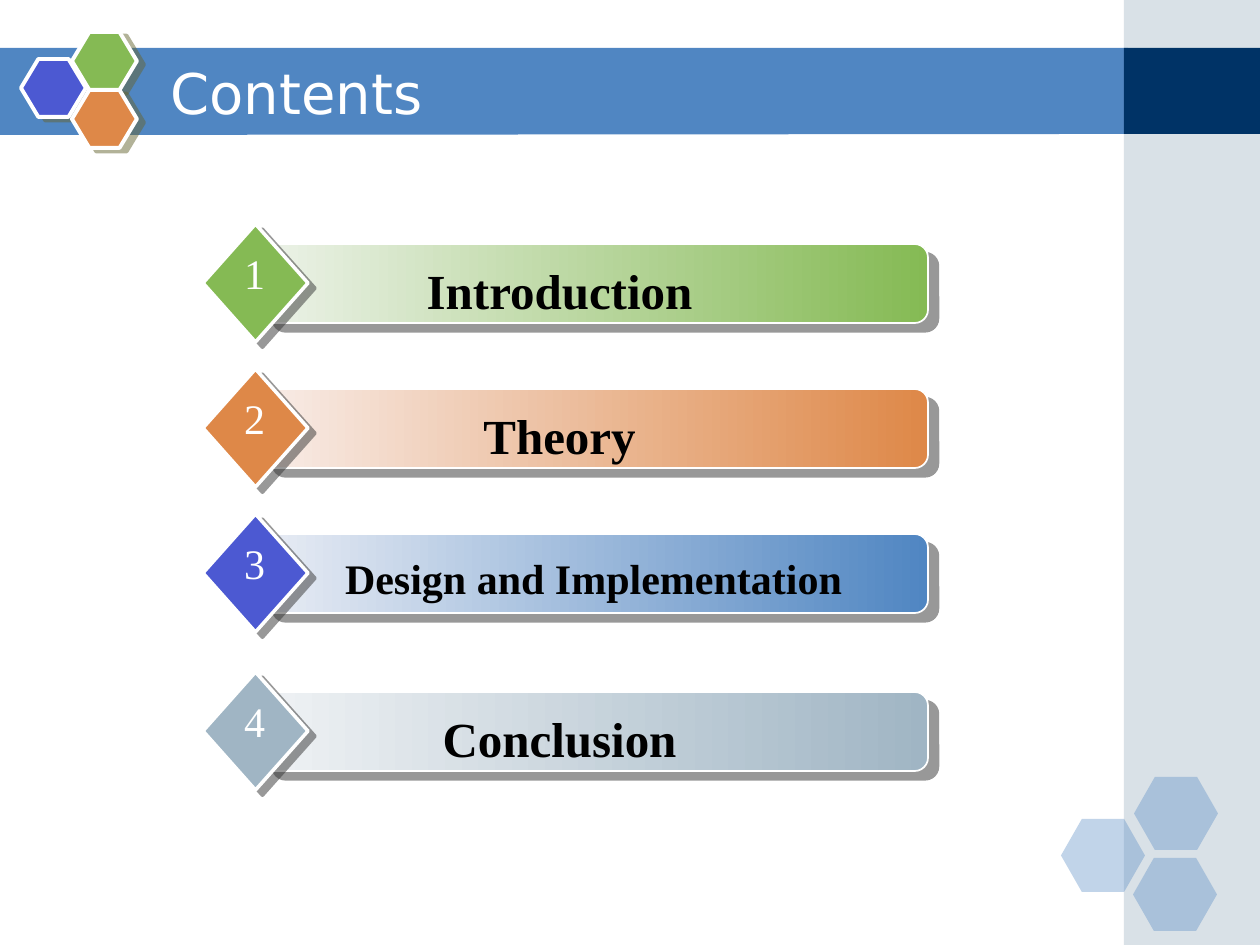
import pptx
import pptx.dml.color
import pptx.enum.shapes
import pptx.enum.text
import pptx.oxml
import pptx.oxml.ns
import pptx.util
from lxml import etree

PX = 914400 / 126
SHAPE = pptx.enum.shapes.MSO_SHAPE
ALIGN = pptx.enum.text.PP_ALIGN
ANCHOR = pptx.enum.text.MSO_ANCHOR
FIT = pptx.enum.text.MSO_AUTO_SIZE
SERIF = "Times New Roman"
COLOURS = {
    "white": "FFFFFF", "black": "000000", "navy": "003366",
    "blue": "5086C2", "indigo": "4C59D2", "green": "85BA54",
    "orange": "DE8848", "grey": "A0B5C4",
    "pale green": "ECF2E8", "pale orange": "F8ECE7",
    "pale blue": "E8ECF4", "pale grey": "EFF2F4",
    "olive shadow": "666633", "dark shadow": "333333",
}
# top, label, label left, label drop, label size, diamond, bar start, bar end
ROWS = [
    (244, "Introduction", 297, 10, 28, "green", "pale green", "green"),
    (389, "Theory", 297, 10, 28, "orange", "pale orange", "orange"),
    (534, "Design and Implementation", 331, 12, 24, "indigo", "pale blue", "blue"),
    (692, "Conclusion", 297, 10, 28, "grey", "pale grey", "grey"),
]


def px(value):
    """Turn pixels into EMU."""
    return pptx.util.Emu(round(value * PX))


def rgb(name):
    """Look up a named colour."""
    return pptx.dml.color.RGBColor.from_string(COLOURS[name])


def sub(parent, tag, **attributes):
    """Append a child element with attributes."""
    values = {key: str(value) for key, value in attributes.items()}
    return etree.SubElement(parent, pptx.oxml.ns.qn(tag), values)


def add_shape(page, kind, box, fill=None, alpha=None, line=None, adjust=None):
    """Add a preset shape with a plain fill and an optional white outline."""
    shape = page.shapes.add_shape(kind, *map(px, box))
    shape.shadow.inherit = False
    if adjust is not None:
        shape.adjustments[0] = adjust
    if fill:
        shape.fill.solid()
        shape.fill.fore_color.rgb = rgb(fill)
    if alpha:
        colour = shape.element.spPr.find(".//" + pptx.oxml.ns.qn("a:srgbClr"))
        sub(colour, "a:alpha", val=alpha * 1000)
    if line:
        shape.line.color.rgb = rgb("white")
        shape.line.width = pptx.util.Pt(line)
    else:
        shape.line.fill.background()
    return shape


def cast_shadow(shape, colour, distance, angle):
    """Give a shape a hard, half-transparent shadow."""
    effects = shape.element.spPr.find(pptx.oxml.ns.qn("a:effectLst"))
    shadow = sub(effects, "a:outerShdw", dist=pptx.util.Pt(distance),
                 dir=angle * 60000, algn="ctr", rotWithShape=0)
    sub(sub(shadow, "a:srgbClr", val=COLOURS[colour]), "a:alpha", val=50000)


def write(frame, text, size, font, colour, align, bold=False):
    """Write one formatted run into a text frame."""
    para = frame.paragraphs[0]
    para.alignment = align
    span = para.add_run()
    span.text = text
    span.font.size = pptx.util.Pt(size)
    span.font.name = font
    span.font.bold = bold
    span.font.color.rgb = rgb(colour)


def add_label(page, box, text, size, colour, bold=False, wrap=True):
    """Add a centred text box."""
    frame = page.shapes.add_textbox(*map(px, box)).text_frame
    frame.word_wrap = wrap
    frame.auto_size = FIT.SHAPE_TO_FIT_TEXT
    write(frame, text, size, SERIF, colour, ALIGN.CENTER, bold)


def add_backdrop(page):
    """Add the header band, the side column and the hexagon clusters."""
    builder = page.shapes.build_freeform(-1, 48, scale=PX)
    builder.add_line_segments([(1128, 48), (1128, 134), (-1, 135)], close=True)
    band = builder.convert_to_shape()
    band.shadow.inherit = False
    band.fill.solid()
    band.fill.fore_color.rgb = rgb("blue")
    band.line.fill.background()
    add_shape(page, SHAPE.RECTANGLE, (1124, 0, 136, 945), "grey", alpha=40)
    add_shape(page, SHAPE.RECTANGLE, (1124, 48, 136, 86), "navy")
    for left, top in ((1061, 819), (1134, 777), (1133, 858)):
        add_shape(page, SHAPE.HEXAGON, (left, top, 84, 73), "blue",
                  alpha=35, adjust=0.286)
    for left, top, colour in ((21, 59, "indigo"), (72, 32, "green"), (72, 90, "orange")):
        hexagon = add_shape(page, SHAPE.HEXAGON, (left, top, 65, 58), colour,
                            line=2.25, adjust=0.3)
        cast_shadow(hexagon, "olive shadow", 4.5, 27)


def place_title(page, text):
    """Format the title and bring it in front of the band."""
    title = page.shapes.title
    title.left, title.top, title.width, title.height = map(px, (158, 53, 924, 78))
    title.element.getparent().append(title.element)
    frame = title.text_frame
    frame.auto_size = FIT.NONE
    frame.vertical_anchor = ANCHOR.MIDDLE
    write(frame, text, 32, "DejaVu Sans", "white", ALIGN.LEFT)


def add_row(page, number, row):
    """Add one numbered contents entry."""
    top, text, left, drop, size, diamond_colour, start, end = row
    bar = add_shape(page, SHAPE.ROUNDED_RECTANGLE, (262, top, 666, 79),
                    line=1, adjust=0.167)
    bar.fill.gradient()
    bar.fill.gradient_angle = 0
    for stop, colour, position in zip(bar.fill.gradient_stops, (start, end), (0, 1)):
        stop.color.rgb = rgb(colour)
        stop.position = position
    cast_shadow(bar, "dark shadow", 7.8, 40)
    diamond = add_shape(page, SHAPE.DIAMOND, (203, top - 20, 105, 118),
                        diamond_colour, line=2)
    cast_shadow(diamond, "dark shadow", 5, 37)
    add_label(page, (left, top + drop, 525, 72), text, size, "black", bold=True)
    add_label(page, (231, top - 3, 47, 63), str(number), 24, "white", wrap=False)


def main():
    """Build the contents slide."""
    deck = pptx.Presentation()
    deck.slide_width, deck.slide_height = px(1260), px(945)
    page = deck.slides.add_slide(deck.slide_layouts[5])
    add_backdrop(page)
    place_title(page, "Contents")
    for number, row in enumerate(ROWS, 1):
        add_row(page, number, row)
    deck.save("out.pptx")


if __name__ == "__main__":
    main()
